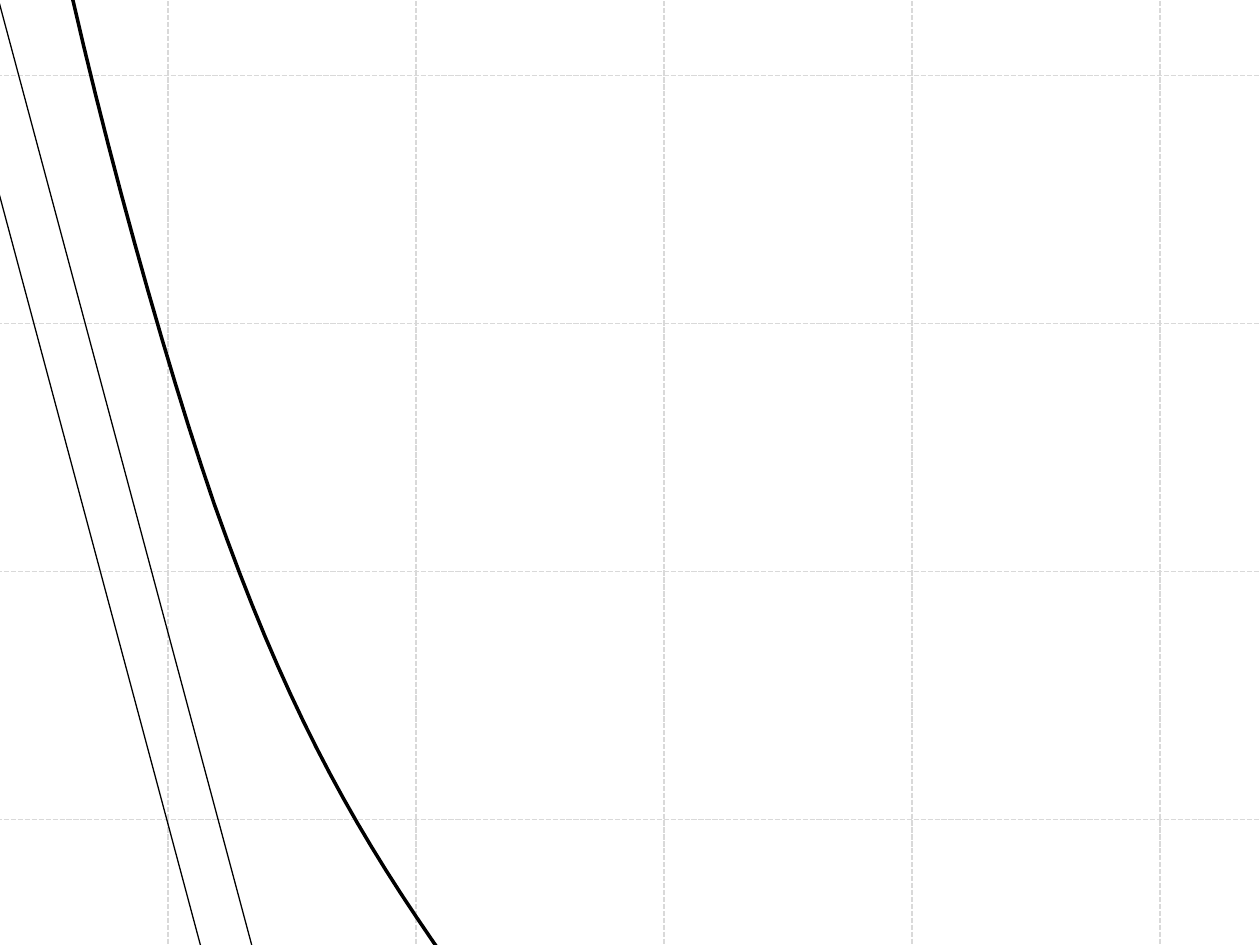
from lxml import etree
from pptx import Presentation
from pptx.dml.color import RGBColor
from pptx.enum.dml import MSO_LINE
from pptx.enum.shapes import MSO_CONNECTOR, MSO_SHAPE
from pptx.oxml.ns import qn
from pptx.util import Cm, Pt

STRAIGHT = MSO_CONNECTOR.STRAIGHT
RECT = MSO_SHAPE.RECTANGLE
DASH = MSO_LINE.SQUARE_DOT  # sysDash comes from the XML value below
STEP = 5                    # grid pitch in cm
LEFT, RIGHT = -21.62, 38.38
TOP, BOTTOM = -38.48, 41.52
SMOOTH = 16                 # straight pieces per curve span


def ink(line, color, width):
    line.color.rgb = RGBColor.from_string(color)
    line.width = Pt(width)


def bezier(ends, t):
    """Return the point at t on a cubic with four control points."""
    u = 1 - t
    parts = (u**3, 3 * u * u * t, 3 * u * t * t, t**3)
    return tuple(Cm(sum(w * p[axis] for w, p in zip(parts, ends)))
                 for axis in (0, 1))


prs = Presentation()
prs.slide_width, prs.slide_height = Cm(25.4), Cm(19.05)
slide = prs.slides.add_slide(prs.slide_layouts[6])

# Dashed grid
cols = [3.38 + STEP * i for i in range(5)]
rows = [1.52 + STEP * i for i in range(4)]
grid = [(x, TOP, x, BOTTOM) for x in cols]
grid += [(LEFT, y, RIGHT, y) for y in rows]
group = slide.shapes.add_group_shape().shapes
for ends in grid:
    rule = group.add_connector(STRAIGHT, *[Cm(v) for v in ends])
    ink(rule.line, "D9D9D9", 1)
    rule.line.dash_style = DASH
    props = rule.line._ln
    props.find(qn("a:prstDash")).set("val", "sysDash")
    etree.SubElement(rule._element.spPr, qn("a:effectLst"))

# Slanted bar
bar = group.add_shape(RECT, Cm(-1.17), Cm(-28.96), Cm(1), Cm(57))
bar.rotation = 345
bar.shadow.inherit = False
bar.fill.background()
ink(bar.line, "000000", 0.75)

# Curve: a start point, then two handles and an end for each span
knots = [
    (4.75, -19.48),
    (3.94, -19.43), (2.34, -18.42), (1.7, -17.55),
    (1.07, -16.69), (0.74, -15.8), (0.56, -14.33),
    (0.36, -12.83), (-0.05, -8.53), (0.58, -4.45),
    (1.22, -0.38), (2.97, 6.25), (4.32, 10.16),
    (5.69, 14.05), (6.99, 16.46), (8.71, 18.95),
    (10.41, 21.44), (11.89, 23.5), (14.58, 25.07),
    (17.3, 26.67), (23.22, 27.91), (24.97, 28.52),
]
points = [bezier(knots[i:i + 4], n / SMOOTH)
          for i in range(0, len(knots) - 1, 3)
          for n in range(1, SMOOTH + 1)]
path = group.build_freeform(*[Cm(v) for v in knots[0]])
path.add_line_segments(points, close=False)
curve = path.convert_to_shape()
curve.shadow.inherit = False
curve.fill.background()
ink(curve.line, "000000", 2)

prs.save("out.pptx")
